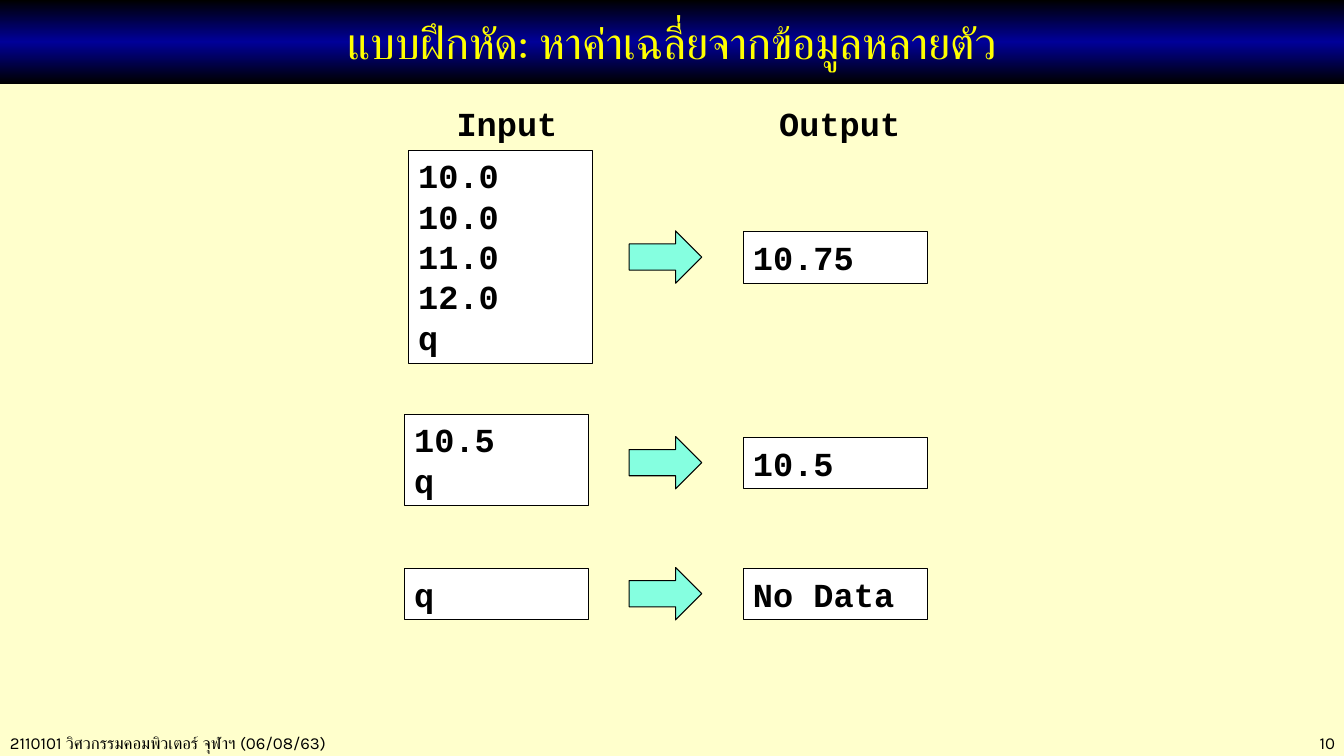
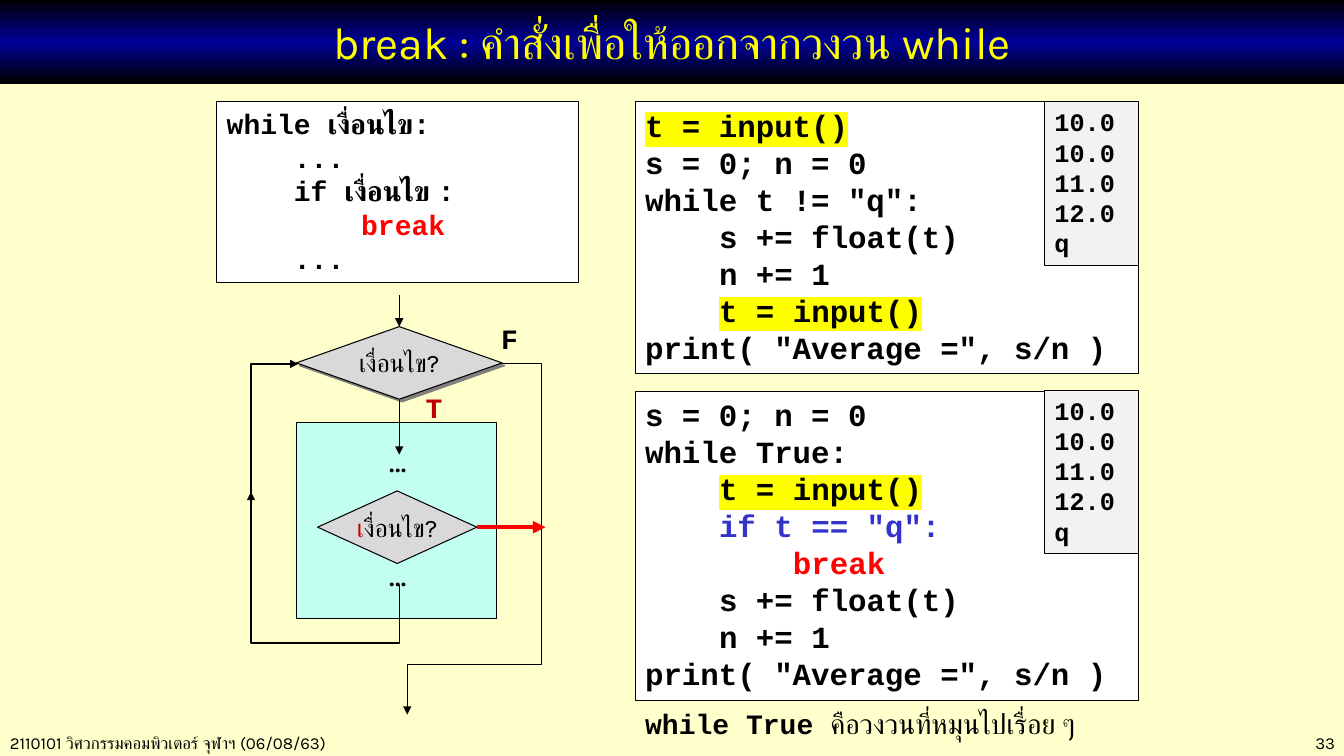
"""Build two lecture slides on loops: an averaging exercise and the break statement."""
from copy import deepcopy

from lxml.etree import SubElement
from pptx import Presentation
from pptx.dml.color import RGBColor
from pptx.enum.shapes import MSO_CONNECTOR, MSO_SHAPE
from pptx.enum.text import MSO_ANCHOR, PP_ALIGN
from pptx.oxml.ns import qn
from pptx.util import Inches, Pt

RECT, ARROW, CHOICE = MSO_SHAPE.RECTANGLE, MSO_SHAPE.RIGHT_ARROW, MSO_SHAPE.FLOWCHART_DECISION
LINE, ELBOW = MSO_CONNECTOR.STRAIGHT, MSO_CONNECTOR.ELBOW
LEFT, MID, RIGHT = PP_ALIGN.LEFT, PP_ALIGN.CENTER, PP_ALIGN.RIGHT
TOP, CENTER = MSO_ANCHOR.TOP, MSO_ANCHOR.MIDDLE


class Theme:
    """Colours, fonts and type sizes."""
    cream, white, black, navy, yellow = "FFFFCC", "FFFFFF", "000000", "000099", "FFFF00"
    aqua, mint, grey, pale, shade = "85FFE0", "C2FFF0", "D9D9D9", "F2F2F2", "808080"
    red, dark, blue = "FF0000", "C00000", "3333CC"
    sans, mono = "Karla", "Courier New"
    title, big, code, mid, small, foot = 32, 24, 22, 20, 18, 12


def put(slide, box, lines=(), kind=None, fill=None, align=LEFT, anchor=TOP, wrap=True, **base):
    """Add a shape or text box; leading tabs in a line become its indent."""
    area = [Inches(n) for n in box]
    if kind is None:
        item = slide.shapes.add_textbox(*area)
    else:
        item = slide.shapes.add_shape(kind, *area)
        item.shadow.inherit = False
        item.line.color.rgb = RGBColor.from_string(Theme.black)
        item.line.width = Pt(0.75)
        if fill:
            item.fill.solid()
            item.fill.fore_color.rgb = RGBColor.from_string(fill)
    frame = item.text_frame
    frame.word_wrap = wrap
    frame.vertical_anchor = anchor
    for i, line in enumerate(lines):
        para = frame.paragraphs[0] if i == 0 else frame.add_paragraph()
        para.alignment = align
        for part in line if isinstance(line, list) else [line]:
            text, own = (part, {}) if isinstance(part, str) else part
            look = dict(font=Theme.mono, color=Theme.black, bold=True, mark=None) | base | own
            tabs = len(text) - len(text.lstrip("\t"))
            if tabs:
                props = para._p.get_or_add_pPr()
                props.set("marL", str(Pt(tabs * 2.4 * look["size"])))
                props.set("indent", "0")
            run = para.add_run()
            run.text = text.lstrip("\t")
            run.font.size = Pt(look["size"])
            run.font.bold = look["bold"]
            run.font.color.rgb = RGBColor.from_string(look["color"])
            if look["mark"]:
                mark = SubElement(run.font._element, qn("a:highlight"))
                SubElement(mark, qn("a:srgbClr")).set("val", look["mark"])
            run.font.name = look["font"]
    return item


def edge(item, color=Theme.black, width=0.75):
    """Style a line and give it an arrowhead at its end."""
    item.line.color.rgb = RGBColor.from_string(color)
    item.line.width = Pt(width)
    SubElement(item.line._get_or_add_ln(), qn("a:tailEnd")).set("type", "triangle")
    if item._element.spPr.find(qn("a:effectLst")) is None:
        SubElement(item._element.spPr, qn("a:effectLst"))


deck = Presentation()
deck.slide_width, deck.slide_height = Inches(13.33), Inches(7.5)
back = deck.slide_master.background.fill
back.solid()
back.fore_color.rgb = RGBColor.from_string(Theme.cream)

plain = dict(font=Theme.sans, bold=False)
pages = []
for title, number in [("แบบฝึกหัด: หาค่าเฉลี่ยจากข้อมูลหลายตัว", "10"),
                      ("break : คำสั่งเพื่อให้ออกจากวงวน while", "33")]:
    page = deck.slides.add_slide(deck.slide_layouts[6])
    put(page, (0, 7.22, 5.2, 0.3), ["2110101 วิศวกรรมคอมพิวเตอร์ จุฬาฯ (06/08/63)"],
        size=Theme.foot, **plain)
    put(page, (11.5, 7.22, 1.84, 0.3), [number], align=RIGHT, size=Theme.foot, **plain)
    band = put(page, (0, 0, 13.33, 0.83), [title], kind=RECT, align=MID, anchor=CENTER,
               size=Theme.title, color=Theme.yellow, **plain)
    band.line.fill.background()
    band.fill.gradient()
    band.fill.gradient_angle = 90
    stops = band._element.spPr.find(".//" + qn("a:gsLst"))
    stops.append(deepcopy(stops[0]))
    tints = [(0, Theme.black), (0.5, Theme.navy), (1, Theme.black)]
    for stop, (place, tint) in zip(band.fill.gradient_stops, tints):
        stop.position = place
        stop.color.rgb = RGBColor.from_string(tint)
    pages.append(page)
task, loop = pages

data = ["10.0", "10.0", "11.0", "12.0", "q"]
card = dict(kind=RECT, fill=Theme.white)
for left, head in [(4.43, "Input"), (7.63, "Output")]:
    put(task, (left, 0.97, 1.5, 0.51), [head], size=Theme.big)
for left, top, high, mid, given, answer in [
        (4.05, 1.49, 2.12, 2.55, data, "10.75"),
        (4.01, 4.11, 0.91, 4.59, ["10.5", "q"], "10.5"),
        (4.01, 5.64, 0.51, 5.89, ["q"], "No Data")]:
    put(task, (left, top, 1.83, high), given, size=Theme.big, **card)
    put(task, (7.37, mid - 0.25, 1.83, 0.51), [answer], size=Theme.big, **card)
    put(task, (6.24, mid - 0.26, 0.72, 0.52), kind=ARROW, fill=Theme.aqua)

put(loop, (2.94, 4.19, 1.98, 1.95), kind=RECT, fill=Theme.mint)
node = dict(kind=CHOICE, fill=Theme.grey, align=MID, anchor=CENTER, wrap=False,
            size=Theme.small, **plain)
test = put(loop, (2.94, 3.24, 2.04, 0.72), ["เงื่อนไข?"], **node)
glow = SubElement(test._element.spPr.find(qn("a:effectLst")), qn("a:outerShdw"))
glow.set("dist", str(Pt(2.8)))
glow.set("dir", "2700000")
SubElement(glow, qn("a:srgbClr")).set("val", Theme.shade)

for left, top, sign, tint in [(4.87, 3.14, "F", Theme.black), (4.12, 3.82, "T", Theme.dark)]:
    put(loop, (left, top, 0.37, 0.44), [sign], align=MID, wrap=False, size=Theme.mid, color=tint)

for kind, ends, look in [
        (LINE, (3.96, 2.93, 3.96, 3.24), {}),
        (ELBOW, (4.98, 3.61, 4.04, 7.09), {}),
        (LINE, (3.96, 3.97, 3.96, 4.51), {}),
        (LINE, (2.49, 5.13, 2.49, 4.88), {}),
        (LINE, (4.73, 5.23, 5.41, 5.23), dict(color=Theme.red, width=3))]:
    wire = loop.shapes.add_connector(kind, *[Inches(n) for n in ends])
    edge(wire, **look)
    if kind == ELBOW:
        form = wire._element.spPr.find(qn("a:prstGeom"))
        form.set("prst", "bentConnector4")
        bends = form.find(qn("a:avLst"))
        if bends is None:
            bends = SubElement(form, qn("a:avLst"))
        for name, value in [("adj1", -41400), ("adj2", 85600)]:
            bend = SubElement(bends, qn("a:gd"))
            bend.set("name", name)
            bend.set("fmla", f"val {value}")

route = [(Inches(x), Inches(y)) for x, y in
         [(3.96, 5.8), (3.96, 6.38), (2.49, 6.38), (2.49, 3.61), (2.96, 3.61)]]
pen = loop.shapes.build_freeform(*route[0])
pen.add_line_segments(route[1:], close=False)
track = pen.convert_to_shape()
track.fill.background()
track.shadow.inherit = False
edge(track, width=1)

put(loop, (3.15, 4.87, 1.58, 0.72), [[("เ", dict(color=Theme.dark)), "งื่อนไข?"]], **node)
for top in (4.3, 5.44):
    put(loop, (3.59, top, 0.71, 0.51), ["..."], align=MID, size=Theme.big, **plain)

lit, stop = dict(mark=Theme.yellow), dict(color=Theme.red)
result = 'print( "Average =", s/n )'
start, add, count = "s = 0; n = 0", "\ts += float(t)", "\tn += 1"
put(loop, (2.15, 1.01, 3.59, 1.79),
    ["while เงื่อนไข:", "\t...", "\tif เงื่อนไข :", ("\t\tbreak", stop), "\t..."],
    size=Theme.mid, **card)
put(loop, (6.3, 1.01, 4.99, 2.7),
    [("t = input()", lit), start, 'while t != "q":', add, count, ("\tt = input()", lit), result],
    size=Theme.code, **card)
put(loop, (6.3, 3.88, 4.99, 3.07),
    [start, "while True:", ("\tt = input()", lit), ('\tif t == "q":', dict(color=Theme.blue)),
     ("\t\tbreak", stop), add, count, result],
    size=Theme.code, **card)
for top in (1.01, 3.87):
    put(loop, (10.36, top, 0.93, 1.62), data, kind=RECT, fill=Theme.pale, size=Theme.small)
put(loop, (6.3, 6.96, 4.69, 0.44),
    [["while True", (" คือวงวนที่หมุนไปเรื่อย ๆ", dict(bold=False))]], size=Theme.mid)

deck.save("out.pptx")
